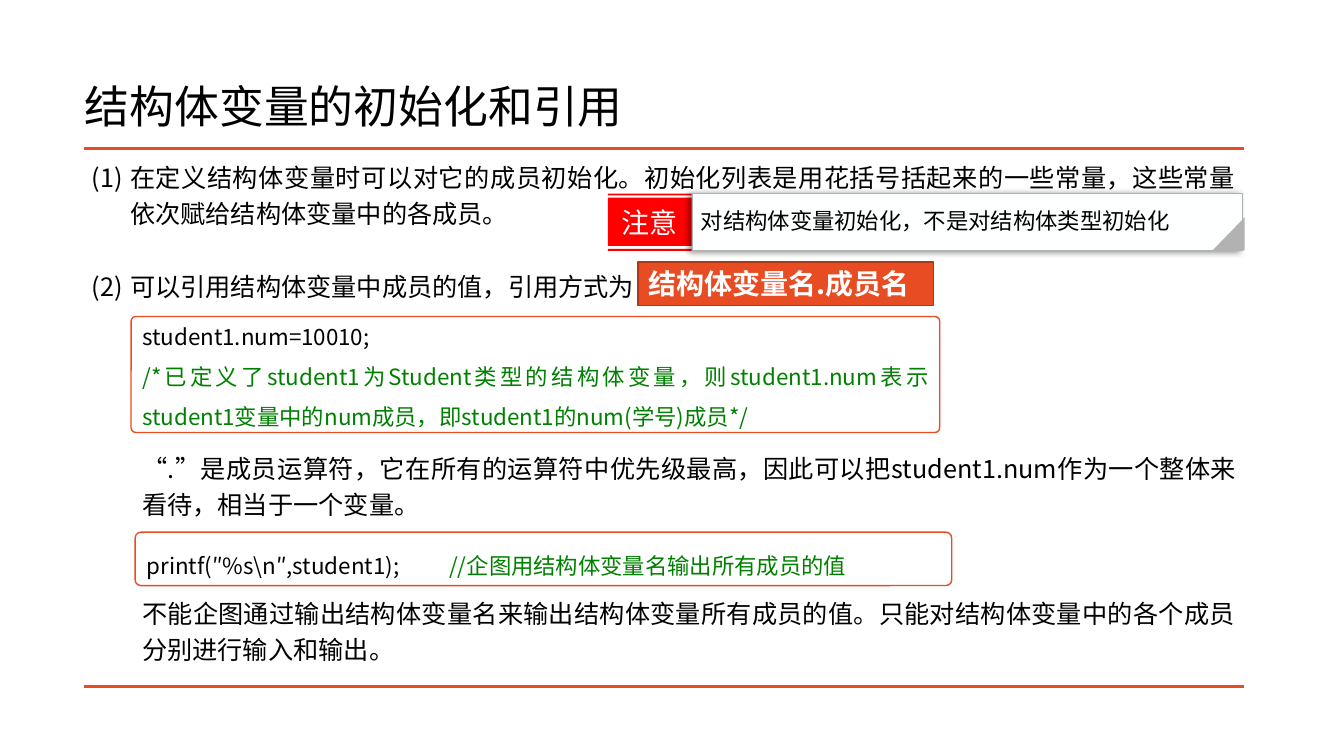
"""Builds a slide on initialising and referencing C structure variables."""
import pptx
import pptx.util
import pptx.dml.color
import pptx.enum.shapes
import pptx.enum.text
import pptx.oxml
import pptx.oxml.ns

Inches, Pt = pptx.util.Inches, pptx.util.Pt
SHAPE = pptx.enum.shapes.MSO_SHAPE
ALIGN = pptx.enum.text.PP_ALIGN
ANCHOR = pptx.enum.text.MSO_ANCHOR
FONT = "Noto Sans CJK SC"
COLORS = {"text": "000000", "accent": "E84C22", "accent_edge": "AC3819", "comment": "008000",
          "paper": "FFFFFF", "note": "FEFFFF", "fold": "B2B2B2", "flag": "FF0000"}

TITLE = "结构体变量的初始化和引用"
# numbered, lines of space before, text
BODY = [
    (True, 0, "在定义结构体变量时可以对它的成员初始化。初始化列表是用花括号括起来的一些常量，这些常量依次赋给结构体变量中的各成员。"),
    (True, 1, "可以引用结构体变量中成员的值，引用方式为"),
    (False, 4, "“.”是成员运算符，它在所有的运算符中优先级最高，因此可以把student1.num作为一个整体来看待，相当于一个变量。"),
    (False, 2, "不能企图通过输出结构体变量名来输出结构体变量所有成员的值。只能对结构体变量中的各个成员分别进行输入和输出。"),
]
REFERENCE_FORM = "结构体变量名.成员名"
CODE_BOXES = [
    ((1.3, 3.14, 8.02, 1.15), 0.04, [
        (1, [("student1.num=10010;", "text")]),
        (1.5, [("/*已定义了student1为Student类型的结构体变量，则student1.num表示"
                "student1变量中的num成员，即student1的num(学号)成员*/", "comment")])]),
    ((1.34, 5.28, 8.1, 0.53), 0.11, [
        (1.5, [("printf(″%s\\n″,student1);\t", "text"),
               ("//企图用结构体变量名输出所有成员的值", "comment")])]),
]
FLAG = "注意"
NOTE = "对结构体变量初始化，不是对结构体类型初始化"
LEFT, RIGHT = 0.83, 12.34
RULES = (1.47, 6.81)
# hundredths of an inch
FLAG_LEFT, FLAG_RIGHT = 603, 686
FLAG_BARS = [(192, 194), (196, 244), (247, 249)]
BODY_LINE = 26


def rgb(name):
    return pptx.dml.color.RGBColor.from_string(COLORS[name])


def child(parent, xml):
    """Append an element written in the a: namespace."""
    element = pptx.oxml.parse_xml(xml.replace(" ", f' {pptx.oxml.ns.nsdecls("a")} ', 1))
    parent.append(element)


def style(paragraph, size, color="text", align=ALIGN.JUSTIFY, spacing=1, bold=False):
    paragraph.alignment = align
    paragraph.line_spacing = spacing
    font = paragraph.font
    font.size, font.bold, font.name = Pt(size), bold, FONT
    font.color.rgb = rgb(color)
    properties = paragraph._p.get_or_add_pPr().find(pptx.oxml.ns.qn("a:defRPr"))
    child(properties, f'<a:ea typeface="{FONT}"/>')


def paint(shape, fill, edge=None, width=1):
    shape.shadow.inherit = False
    shape.fill.solid()
    shape.fill.fore_color.rgb = rgb(fill)
    if edge:
        shape.line.color.rgb = rgb(edge)
        shape.line.width = Pt(width)
    else:
        shape.line.fill.background()


def frame(shape, anchor=ANCHOR.TOP, side=0.1, top=0.05):
    text = shape.text_frame
    text.word_wrap = True
    text.vertical_anchor = anchor
    text.margin_left = text.margin_right = Inches(side)
    text.margin_top = text.margin_bottom = Inches(top)
    return text


def paragraphs(text, items):
    """Yield a paragraph of the frame for each item."""
    for index, item in enumerate(items):
        yield (text.add_paragraph() if index else text.paragraphs[0]), item


def add_preset(slide, kind, box, fill, edge=None, width=1):
    shape = slide.shapes.add_shape(kind, *map(Inches, box))
    paint(shape, fill, edge, width)
    return shape


def add_title(slide):
    title = slide.shapes.title
    title.left, title.top, title.width, title.height = map(Inches, (0.74, 0.36, 11.5, 1.45))
    text = frame(title, ANCHOR.MIDDLE)
    text.text = TITLE
    style(text.paragraphs[0], 32, align=ALIGN.LEFT, spacing=0.9)


def add_rules(slide):
    for y in RULES:
        rule = slide.shapes.add_connector(pptx.enum.shapes.MSO_CONNECTOR.STRAIGHT,
                                          *map(Inches, (LEFT, y, RIGHT, y)))
        rule.line.color.rgb = rgb("accent")
        rule.line.width = Pt(2)
        child(rule._element.spPr, "<a:effectLst />")


def add_body(slide):
    box = slide.shapes.add_textbox(*map(Inches, (LEFT, RULES[0], RIGHT - LEFT, RULES[1] - RULES[0])))
    text = frame(box, side=0.08, top=0.08)
    for paragraph, (numbered, gap, words) in paragraphs(text, BODY):
        paragraph.text = words
        properties = paragraph._p.get_or_add_pPr()
        properties.set("marL", str(Inches(0.38 if numbered else 0.5)))
        properties.set("indent", str(Inches(-0.38 if numbered else 0)))
        if numbered:
            child(properties, '<a:buFont typeface="+mj-lt"/>')
            child(properties, '<a:buAutoNum type="arabicParenBoth"/>')
        if gap:
            paragraph.space_before = Pt(gap * BODY_LINE)
        style(paragraph, 18, spacing=1.2)


def add_reference_form(slide):
    label = add_preset(slide, SHAPE.RECTANGLE, (6.33, 2.6, 2.93, 0.43), "accent", "accent_edge")
    text = frame(label, ANCHOR.MIDDLE, top=0)
    text.text = REFERENCE_FORM
    style(text.paragraphs[0], 20, "paper", bold=True)


def add_code(slide):
    for box, corner, lines in CODE_BOXES:
        panel = add_preset(slide, SHAPE.ROUNDED_RECTANGLE, box, "paper", "accent")
        panel.adjustments[0] = corner
        for paragraph, (spacing, pieces) in paragraphs(frame(panel), lines):
            style(paragraph, 16, spacing=spacing)
            for words, color in pieces:
                run = paragraph.add_run()
                run.text = words
                run.font.color.rgb = rgb(color)


def add_note(slide):
    builder = slide.shapes.build_freeform(FLAG_LEFT, FLAG_BARS[0][0], scale=Inches(0.01))
    for index, (top, bottom) in enumerate(FLAG_BARS):
        if index:
            builder.move_to(FLAG_LEFT, top)
        builder.add_line_segments([(FLAG_RIGHT, top), (FLAG_RIGHT, bottom), (FLAG_LEFT, bottom)])
    flag = builder.convert_to_shape()
    paint(flag, "flag")
    text = frame(flag, ANCHOR.MIDDLE)
    text.text = FLAG
    style(text.paragraphs[0], 20, "note", ALIGN.CENTER)

    card = add_preset(slide, SHAPE.RECTANGLE, (6.87, 1.92, 5.45, 0.57), "note", "fold", 0.75)
    effects = card._element.spPr.find(pptx.oxml.ns.qn("a:effectLst"))
    child(effects, f'<a:outerShdw blurRad="{Pt(4)}" dist="{Pt(3)}" dir="10800000" rotWithShape="0">'
                   '<a:srgbClr val="000000"><a:alpha val="40000"/></a:srgbClr></a:outerShdw>')
    text = frame(card, side=0.08, top=0.08)
    text.text = NOTE
    style(text.paragraphs[0], 16, spacing=1.2)

    fold = add_preset(slide, SHAPE.RIGHT_TRIANGLE, (12.02, 2.16, 0.33, 0.32), "fold")
    fold.rotation = 270


def main():
    deck = pptx.Presentation()
    deck.slide_width, deck.slide_height = Inches(13.33), Inches(7.5)
    slide = deck.slides.add_slide(deck.slide_layouts[5])
    for add_part in (add_title, add_rules, add_body, add_reference_form, add_code, add_note):
        add_part(slide)
    deck.save("out.pptx")


if __name__ == "__main__":
    main()
